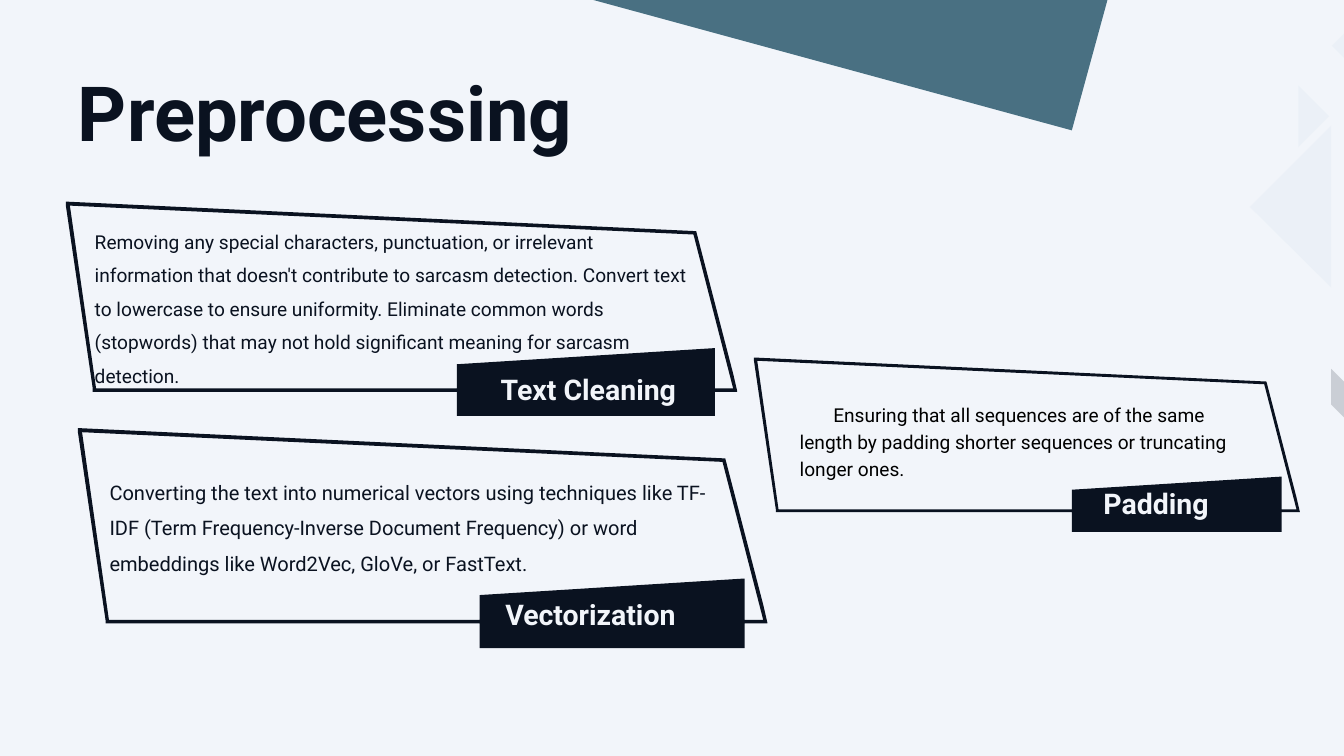
"""Build the Preprocessing slide with three framed cards."""
from dataclasses import dataclass
from typing import Optional

from lxml.etree import SubElement
from pptx import Presentation
from pptx.dml.color import RGBColor
from pptx.dml.fill import FillFormat
from pptx.enum.text import MSO_ANCHOR as Anchor, MSO_AUTO_SIZE as AutoSize, PP_ALIGN as Align
from pptx.oxml.ns import qn
from pptx.shapes.base import BaseShape
from pptx.slide import Slide
from pptx.text.text import TextFrame, _Paragraph as Paragraph
from pptx.util import Inches, Pt

Point = tuple[float, float]
Contour = list[Point]

PAPER, INK, BLACK = "F2F5FA", "0A1220", "000000"
TEAL, PALE_BLUE = "497082", "CBDDEC"
FONT = "Roboto"
FAINT = 17

FRAME_WIDTH = 10
PANEL: Contour = [(0.43, 2.81), (9.96, 2.81), (9.36, 0.46), (0.03, 0.03)]
FRAME: Contour = [
    (9.99, 2.82), (9.93, 2.56), (9.93, 2.78), (9.66, 2.78), (9.66, 2.18), (5.82, 2.42),
    (5.82, 2.78), (0.45, 2.78), (0.06, 0.06), (9.34, 0.49), (9.93, 2.78), (9.93, 2.56),
    (9.38, 0.44), (0, 0), (0, 0.06), (0.4, 2.78), (0.4, 2.83), (5.82, 2.83),
    (5.82, 3.19), (9.66, 3.19), (9.66, 2.83), (9.99, 2.83),
]


@dataclass(frozen=True)
class Decoration:
    contours: list[Contour]
    color: str
    opacity: Optional[int] = None


@dataclass(frozen=True)
class Card:
    left: float
    top: float
    width: float


@dataclass(frozen=True)
class Label:
    text: str
    left: float
    top: float
    width: float
    height: float = 0.54


DECORATIONS = [
    Decoration([[(16.48, 0), (15.95, 1.94), (8.83, 0)]], TEAL),
    Decoration([[(20, 0.5), (20, 0.86), (19.82, 0.68)]], PALE_BLUE, FAINT),
    Decoration([[(20, 5.3), (20, 5.68), (19.81, 5.49)]], PAPER, FAINT),
    Decoration([[(19.81, 5.49), (20, 5.68), (20, 6.21), (19.81, 6.02)]], INK, FAINT),
    Decoration([[(19.78, 1.73), (19.32, 1.27), (19.32, 2.19)],
                [(19.81, 1.87), (18.6, 3.08), (19.81, 4.28)]], PALE_BLUE, FAINT),
]
CARDS = [Card(0.98, 3, 10), Card(1.16, 6.37, 10.27), Card(11.22, 5.32, 8.13)]
LABELS = [
    Label("Vectorization", 7.51, 8.87, 3),
    Label("Padding", 16.41, 7.22, 1.88),
]
TEXT_CLEANING = Label("Text Cleaning", 7.22, 5.43, 5.45, 0.35)

VECTORIZATION_TEXT = (
    "Converting the text into numerical vectors using techniques like TF-IDF "
    "(Term Frequency-Inverse Document Frequency) or word embeddings like Word2Vec, "
    "GloVe, or FastText."
)
CLEANING_TEXT = (
    "Removing any special characters, punctuation, or irrelevant information that "
    "doesn't contribute to sarcasm detection. Convert text to lowercase to ensure "
    "uniformity. Eliminate common words (stopwords) that may not hold significant "
    "meaning for sarcasm detection."
)
PADDING_TEXT = (
    "Ensuring that all sequences are of the same length by padding shorter sequences "
    "or truncating longer ones."
)


def paint(fill: FillFormat, color: str) -> None:
    """Fill solidly with a hex colour."""
    fill.solid()
    fill.fore_color.rgb = RGBColor.from_string(color)


def draw_outline(slide: Slide, contours: list[Contour], color: str,
                 opacity: Optional[int] = None) -> None:
    """Draw closed contours as one filled freeform without a line."""
    builder = None
    for contour in contours:
        start, *rest = [(Inches(x), Inches(y)) for x, y in contour]
        if builder is None:
            builder = slide.shapes.build_freeform(*start)
        else:
            builder.move_to(*start)
        builder.add_line_segments(rest, close=True)
    shape = builder.convert_to_shape()
    shape.shadow.inherit = False
    shape.line.fill.background()
    paint(shape.fill, color)
    if opacity is not None:
        color_element = next(shape.element.spPr.iter(qn("a:srgbClr")))
        SubElement(color_element, qn("a:alpha"), val=str(opacity * 1000))


def draw_card(slide: Slide, card: Card) -> None:
    """Draw a panel and its frame, scaled to the card's width."""
    scale = card.width / FRAME_WIDTH
    for contour, color in ((PANEL, PAPER), (FRAME, INK)):
        placed = [(card.left + x * scale, card.top + y * scale) for x, y in contour]
        draw_outline(slide, [placed], color)


def prepare_frame(shape: BaseShape, left: float, top: float, width: float, height: float,
                  inset: float = 0, top_inset: float = 0.01) -> TextFrame:
    """Place a text shape and return its top-anchored, wrapping frame."""
    shape.left, shape.top = Inches(left), Inches(top)
    shape.width, shape.height = Inches(width), Inches(height)
    frame = shape.text_frame
    frame.word_wrap = True
    frame.auto_size = AutoSize.NONE
    frame.vertical_anchor = Anchor.TOP
    frame.margin_left = frame.margin_right = frame.margin_bottom = Inches(inset)
    frame.margin_top = Inches(top_inset)
    return frame


def write(paragraph: Paragraph, text: str, size: float, color: str, bold: bool = False,
          spacing: float = 1, before: float = 0, align: Align = Align.LEFT,
          left: float = 0.01, right: float = 0, indent: float = 0) -> None:
    """Fill a paragraph and set its font, spacing and indents."""
    paragraph.text = text
    paragraph.alignment = align
    paragraph.line_spacing = spacing
    paragraph.space_before = Pt(before)
    paragraph.font.name = FONT
    paragraph.font.size = Pt(size)
    paragraph.font.bold = bold
    paint(paragraph.font.fill, color)
    properties = paragraph._p.get_or_add_pPr()
    for name, value in (("marL", left), ("marR", right), ("indent", indent)):
        properties.set(name, str(Inches(value)))
    bullet = properties.makeelement(qn("a:buNone"), {})
    properties.find(qn("a:defRPr")).addprevious(bullet)


def add_text(slide: Slide, left: float, top: float, width: float, height: float,
             inset: float = 0, top_inset: float = 0.01) -> Paragraph:
    """Add a text box and return its first paragraph."""
    box = slide.shapes.add_textbox(0, 0, 0, 0)
    return prepare_frame(box, left, top, width, height, inset, top_inset).paragraphs[0]


def main() -> None:
    """Build and save the presentation."""
    presentation = Presentation()
    presentation.slide_width, presentation.slide_height = Inches(20), Inches(11.25)
    slide = presentation.slides.add_slide(presentation.slide_layouts[1])
    paint(slide.background.fill, PAPER)
    title, body = slide.placeholders

    for decoration in DECORATIONS:
        draw_outline(slide, decoration.contours, decoration.color, decoration.opacity)
    for card in CARDS:
        draw_card(slide, card)
    for placeholder in (title, body):
        placeholder.element.getparent().append(placeholder.element)

    title_frame = prepare_frame(title, 1.15, 0.96, 8.35, 1.39, top_inset=0.02)
    write(title_frame.paragraphs[0], "Preprocessing", 81.5, INK, bold=True)

    body_frame = prepare_frame(body, 1.4, 3.26, 17.08, 3.88)
    write(body_frame.paragraphs[0], CLEANING_TEXT, 20.5, INK, spacing=1.46, right=8.18)
    write(body_frame.add_paragraph(), PADDING_TEXT, 20.5, BLACK, spacing=1.19,
          before=12.4, left=10.5, indent=0.5)

    write(add_text(slide, 1.62, 6.98, 8.89, 1.43), VECTORIZATION_TEXT, 21.5, INK, spacing=1.46)
    for label in LABELS:
        paragraph = add_text(slide, label.left, label.top, label.width, label.height)
        write(paragraph, label.text, 30.5, PAPER, bold=True)
    label = TEXT_CLEANING
    paragraph = add_text(slide, label.left, label.top, label.width, label.height, 0.1, 0.1)
    write(paragraph, label.text, 30.5, PAPER, bold=True, align=Align.CENTER, left=0, right=2.38)

    presentation.save("out.pptx")


if __name__ == "__main__":
    main()
